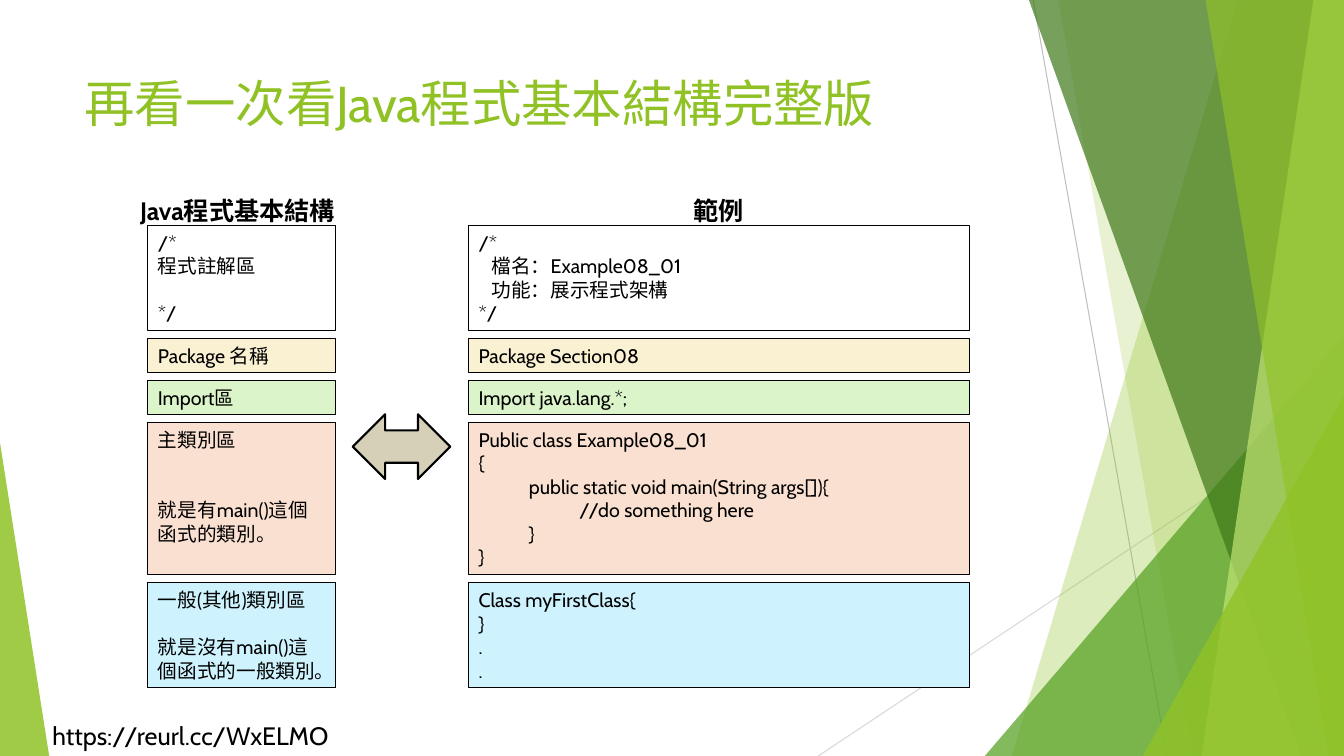
import pptx
import pptx.util
import pptx.dml.color
import pptx.enum.shapes
import pptx.enum.text
import pptx.oxml
import pptx.oxml.ns
from lxml import etree

Cm = pptx.util.Cm
Pt = pptx.util.Pt
MSO = pptx.enum.shapes.MSO_SHAPE
qn = pptx.oxml.ns.qn

FONT = "Cabin"
WIDTH, HEIGHT = 33.87, 19.05

RAYS = [
    ((26.04, 0, 29.41, HEIGHT), "BFBFBF"),
    ((WIDTH, 10.24, 20.62, HEIGHT), "D9D9D9"),
]
FACETS = [
    ("band", (31.19, 25.5), "90C226", 30),
    ("band", (26.67, 30.05), "90C226", 20),
    ("triangle", (24.82, 8.46, 9.05, 1), "54A021", 72),
    ("band", (25.93, 32.79), "3F7819", 70),
    ("band", (33.1, 30.28), "C0E474", 70),
    ("band", (30.38, 33.48), "90C226", 65),
    ("triangle", (28.8, 9.98, 5.07, 1), "90C226", 80),
    ("triangle", (0, 11.15, 1.24, 0), "90C226", 85),
]
LABELS = [
    ("https://reurl.cc/WxELMO", (1.07, 18.03, 7.92, 1.02), 18, "000000", False, False),
    ("再看一次看Java程式基本結構完整版", (1.88, 1.7, 23.88, 3.66), 36, "90C226", False, True),
    ("Java程式基本結構", (3.28, 4.8, 5.72, 1.02), 18, "000000", True, False),
    ("範例", (17.22, 4.8, 1.8, 1.02), 18, "000000", True, False),
]
COLUMNS = [(3.73, 4.72), (11.81, 12.62)]
ROWS_TOP, ROW_GAP = 5.69, 0.2
LINE = 16.8
ROWS = [
    (2.64, "FFFFFF",
     [("/*", 0), ("程式註解區", 0), ("*/", 1)],
     [("/*", 0), ("   檔名：Example08_01", 0), ("   功能：展示程式架構", 0), ("*/", 0)]),
    (0.86, "FAF1D2", [("Package 名稱", 0)], [("Package Section08", 0)]),
    (0.86, "DBF4CA", [("Import區", 0)], [("Import java.lang.*;", 0)]),
    (3.84, "FAE0D1",
     [("主類別區", 0), ("就是有main()這個函式的類別。", 2)],
     [("Public class Example08_01", 0), ("{", 0),
      ("\tpublic static void main(String args[]){", 0),
      ("\t\t//do something here", 0), ("\t}", 0), ("}", 0)]),
    (2.64, "CEF3FE",
     [("一般(其他)類別區", 0), ("就是沒有main()這個函式的一般類別。", 1)],
     [("Class myFirstClass{", 0), ("}", 0), (".", 0), (".", 0)]),
]
ARROW = (8.89, 10.44, 2.46, 1.63)


def color(value):
    return pptx.dml.color.RGBColor.from_string(value)


def box(values):
    return [Cm(v) for v in values]


def paint(sp, fill, line=None, width=0.75, alpha=None):
    sp.shadow.inherit = False
    sp.fill.solid()
    sp.fill.fore_color.rgb = color(fill)
    if alpha is not None:
        clr = sp._element.spPr.find(qn("a:solidFill"))[0]
        etree.SubElement(clr, qn("a:alpha"), val=str(alpha * 1000))
    if line:
        sp.line.color.rgb = color(line)
        sp.line.width = Pt(width)
    else:
        sp.line.fill.background()


def style(p, size, hex_color, bold=False):
    p.alignment = pptx.enum.text.PP_ALIGN.LEFT
    p.font.name = FONT
    p.font.size = Pt(size)
    p.font.bold = bold
    p.font.color.rgb = color(hex_color)


def add_tabs(p):
    tabs = etree.SubElement(p._p.get_or_add_pPr(), qn("a:tabLst"))
    for n in range(1, p.text.count("\t") + 1):
        etree.SubElement(tabs, qn("a:tab"), pos=str(Cm(1.27 * n)), algn="l")


def add_section(shapes, left, top, width, height, fill, lines):
    sp = shapes.add_shape(MSO.RECTANGLE, *box((left, top, width, height)))
    paint(sp, fill, "000000")
    tf = sp.text_frame
    tf.word_wrap = True
    tf.vertical_anchor = pptx.enum.text.MSO_ANCHOR.TOP
    for i, (text, skipped) in enumerate(lines):
        p = tf.add_paragraph() if i else tf.paragraphs[0]
        p.text = text
        if skipped:
            p.space_before = Pt(LINE * skipped)
        if "\t" in text:
            add_tabs(p)
        style(p, 14, "000000")


def add_backdrop(shapes):
    for ends, line in RAYS:
        ray = shapes.add_connector(pptx.enum.shapes.MSO_CONNECTOR.STRAIGHT, *box(ends))
        ray.line.color.rgb = color(line)
        ray.line.width = Pt(0.75)
        etree.SubElement(ray._element.spPr, qn("a:effectLst"))
    for kind, place, fill, alpha in FACETS:
        if kind == "band":
            top_x, bottom_x = place
            fb = shapes.build_freeform(Cm(top_x), 0)
            fb.add_line_segments(
                [box(pt) for pt in ((WIDTH, 0), (WIDTH, HEIGHT), (bottom_x, HEIGHT))])
            sp = fb.convert_to_shape()
        else:
            left, top, width, apex = place
            sp = shapes.add_shape(MSO.ISOSCELES_TRIANGLE,
                                  *box((left, top, width, HEIGHT - top)))
            sp.adjustments[0] = apex
        paint(sp, fill, alpha=alpha)


def main():
    prs = pptx.Presentation()
    prs.slide_width, prs.slide_height = box((WIDTH, HEIGHT))
    shapes = prs.slides.add_slide(prs.slide_layouts[6]).shapes
    add_backdrop(shapes)

    top = ROWS_TOP
    for height, fill, *cells in ROWS:
        for (left, width), lines in zip(COLUMNS, cells):
            add_section(shapes, left, top, width, height, fill, lines)
        top += height + ROW_GAP

    for text, place, size, hex_color, bold, wrap in LABELS:
        tf = shapes.add_textbox(*box(place)).text_frame
        tf.word_wrap = wrap
        p = tf.paragraphs[0]
        p.text = text
        style(p, size, hex_color, bold)

    arrow = shapes.add_shape(MSO.LEFT_RIGHT_ARROW, *box(ARROW))
    paint(arrow, "D6D0B8", "000000", 1.5)
    prs.save("out.pptx")


if __name__ == "__main__":
    main()
